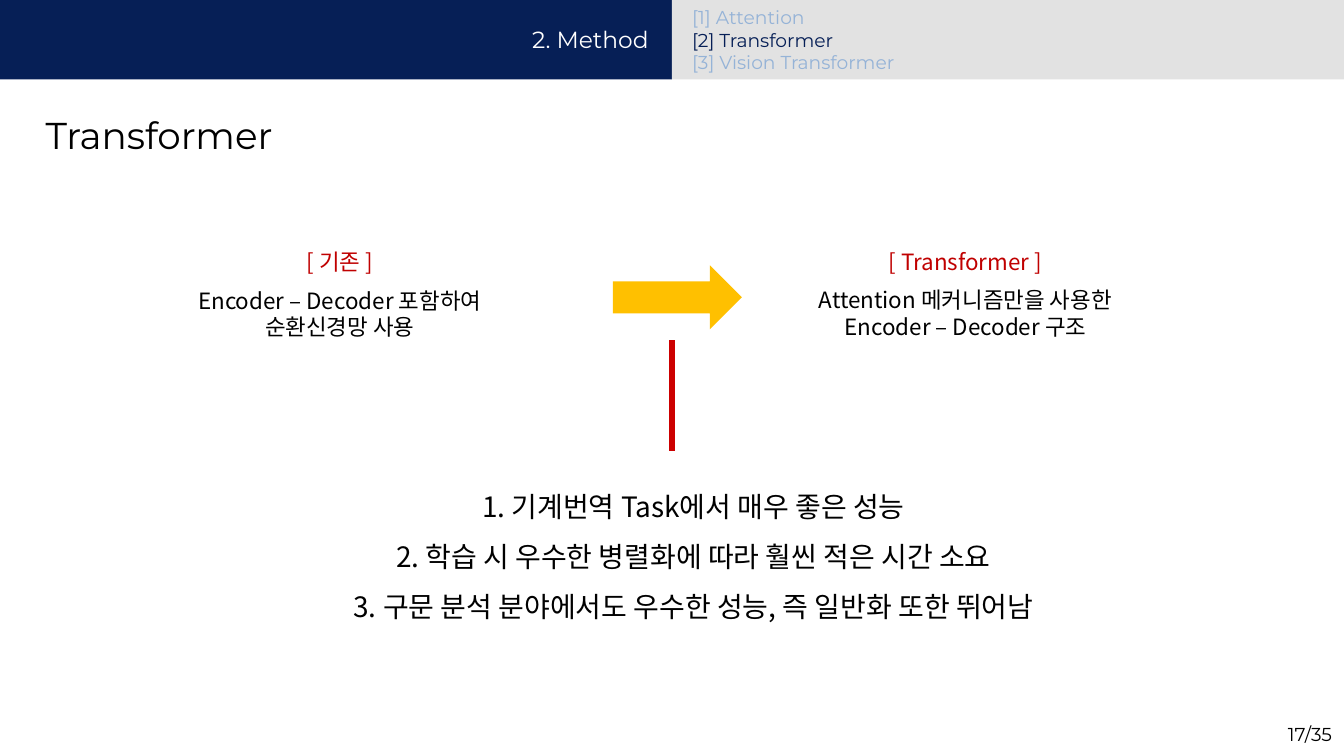
from dataclasses import dataclass

from lxml.etree import SubElement
from pptx import Presentation
from pptx.dml.color import RGBColor
from pptx.enum.shapes import MSO_CONNECTOR, MSO_SHAPE
from pptx.enum.text import MSO_AUTO_SIZE, PP_ALIGN
from pptx.oxml.ns import qn
from pptx.util import Inches, Pt


@dataclass(frozen=True)
class Theme:
    navy: str = "061F56"
    grey: str = "E2E2E2"
    pale_blue: str = "95B3D7"
    white: str = "FFFFFF"
    black: str = "000000"
    heading_red: str = "C00000"
    line_red: str = "CC0000"
    amber: str = "FFC000"
    latin: str = "Montserrat"
    korean: str = "Noto Sans CJK KR"
    small: int = 20
    body: int = 24
    section: int = 25
    result: int = 30
    title: int = 40


THEME = Theme()


@dataclass(frozen=True)
class Area:
    left: float
    top: float
    width: float
    height: float

    def lengths(self) -> list:
        return [Inches(n) for n in (self.left, self.top, self.width, self.height)]


@dataclass(frozen=True)
class Line:
    text: str
    color: str = THEME.black
    space_before: float = 0


@dataclass(frozen=True)
class TextBlock:
    area: Area
    lines: list[Line]
    size: int
    font: str = THEME.latin
    align: PP_ALIGN = PP_ALIGN.LEFT
    line_spacing: float = 1.0


@dataclass(frozen=True)
class Block:
    area: Area
    preset: MSO_SHAPE
    color: str


def draw_block(page, block: Block) -> None:
    shape = page.shapes.add_shape(block.preset, *block.area.lengths())
    shape.shadow.inherit = False
    shape.fill.solid()
    shape.fill.fore_color.rgb = RGBColor.from_string(block.color)
    shape.line.fill.background()


def draw_text(page, block: TextBlock) -> None:
    box = page.shapes.add_textbox(*block.area.lengths())
    frame = box.text_frame
    frame.word_wrap = True
    frame.auto_size = MSO_AUTO_SIZE.SHAPE_TO_FIT_TEXT
    for index, line in enumerate(block.lines):
        para = frame.add_paragraph() if index else frame.paragraphs[0]
        para.alignment = block.align
        para.line_spacing = block.line_spacing
        para.space_before = Pt(line.space_before)
        span = para.add_run()
        span.text = line.text
        span.font.size = Pt(block.size)
        span.font.name = block.font
        span.font.color.rgb = RGBColor.from_string(line.color)
        # Hangul takes its typeface from the East Asian slot
        SubElement(span.font._element, qn("a:ea"), typeface=block.font)


def draw_divider(page, x: float, top: float, bottom: float) -> None:
    divider = page.shapes.add_connector(
        MSO_CONNECTOR.STRAIGHT, Inches(x), Inches(top), Inches(x), Inches(bottom))
    divider.line.color.rgb = RGBColor.from_string(THEME.line_red)
    divider.line.width = Pt(6)
    SubElement(divider._element.spPr, qn("a:effectLst"))


def comparison(area: Area, heading: str, first: str, second: str) -> TextBlock:
    lines = [Line(heading, THEME.heading_red), Line(first, space_before=12), Line(second)]
    return TextBlock(area, lines, THEME.body, THEME.korean, PP_ALIGN.CENTER)


BLOCKS = [
    Block(Area(0, 0, 10, 1.18), MSO_SHAPE.RECTANGLE, THEME.navy),
    Block(Area(10, 0, 10, 1.18), MSO_SHAPE.RECTANGLE, THEME.grey),
    Block(Area(9.12, 3.95, 1.92, 0.95), MSO_SHAPE.RIGHT_ARROW, THEME.amber),
]

TEXTS = [
    TextBlock(Area(6.67, 0.33, 3.08, 0.52), [Line("2. Method", THEME.white)],
              THEME.section, align=PP_ALIGN.RIGHT),
    TextBlock(Area(10.2, 0.04, 4.3, 1.11),
              [Line("[1] Attention", THEME.pale_blue),
               Line("[2] Transformer", THEME.navy),
               Line("[3] Vision Transformer", THEME.pale_blue)], THEME.small),
    TextBlock(Area(0.58, 1.62, 7.5, 0.77), [Line("Transformer")], THEME.title),
    comparison(Area(1.25, 3.65, 7.61, 1.48), "[ 기존 ]",
               "Encoder – Decoder 포함하여", "순환신경망 사용"),
    comparison(Area(11.39, 3.64, 5.95, 1.48), "[ Transformer ]",
               "Attention 메커니즘만을 사용한", "Encoder – Decoder 구조"),
    TextBlock(Area(4.64, 6.98, 11.36, 2.31),
              [Line("1. 기계번역 Task에서 매우 좋은 성능"),
               Line("2. 학습 시 우수한 병렬화에 따라 훨씬 적은 시간 소요"),
               Line("3. 구문 분석 분야에서도 우수한 성능, 즉 일반화 또한 뛰어남")],
              THEME.result, THEME.korean, PP_ALIGN.CENTER, 1.5),
    TextBlock(Area(18.25, 10.71, 1.67, 0.44), [Line("17/35")],
              THEME.small, align=PP_ALIGN.RIGHT),
]


def main() -> None:
    deck = Presentation()
    deck.slide_width, deck.slide_height = Inches(20), Inches(11.25)
    page = deck.slides.add_slide(deck.slide_layouts[6])
    for block in BLOCKS:
        draw_block(page, block)
    for text in TEXTS:
        draw_text(page, text)
    draw_divider(page, 10, 5.06, 6.71)
    deck.save("out.pptx")


if __name__ == "__main__":
    main()
